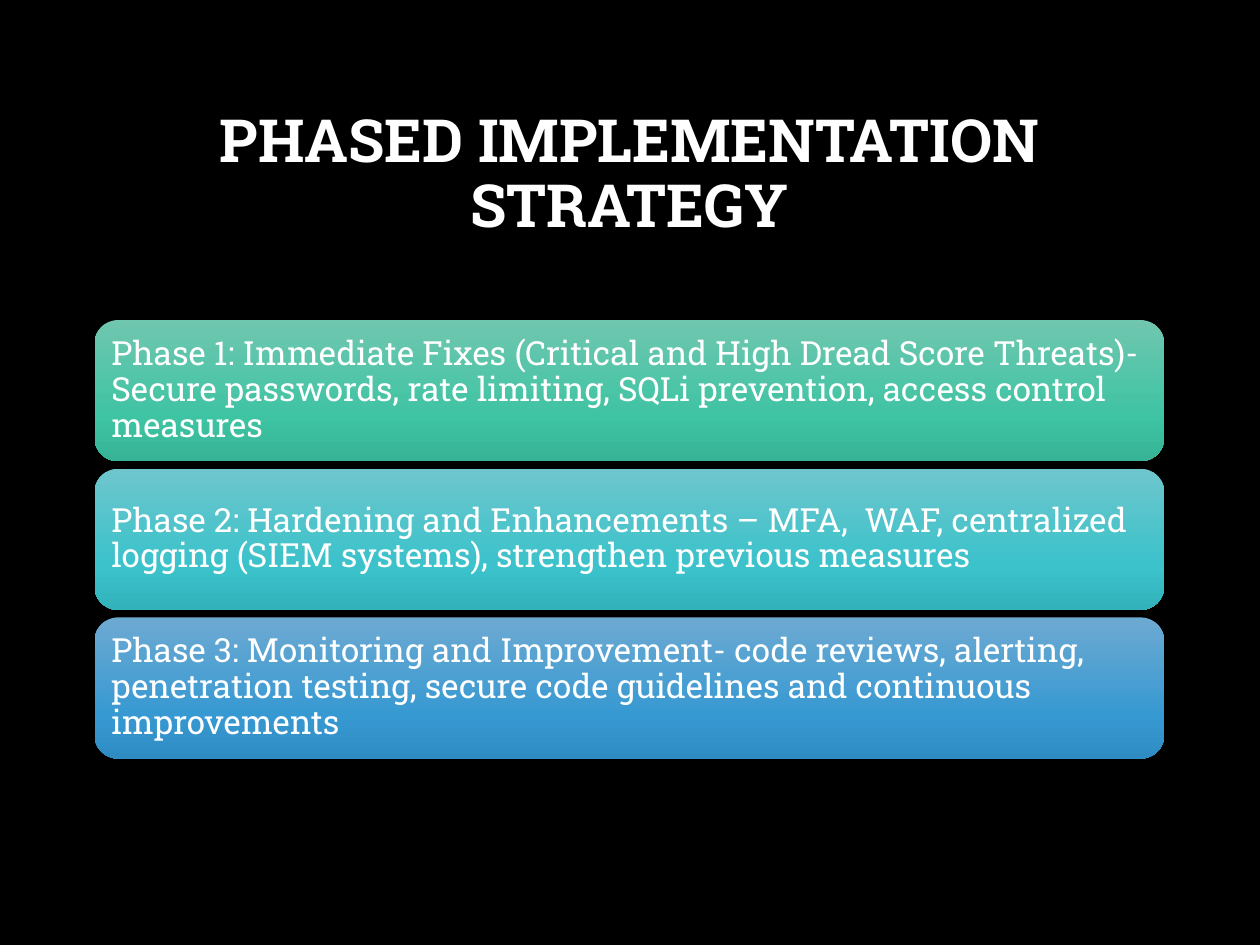
import copy
import pptx
import pptx.util
import pptx.dml.color
import pptx.enum.shapes
import pptx.enum.text
import pptx.oxml.ns

TITLE = "PHASED IMPLEMENTATION STRATEGY"
PHASES = [
    ("Phase 1: Immediate Fixes (Critical and High Dread Score Threats)- "
     "Secure passwords, rate limiting, SQLi prevention, access control measures",
     ("70C6AF", "3EC4A3", "37B395")),
    ("Phase 2: Hardening and Enhancements – MFA,  WAF, centralized "
     "logging (SIEM systems), strengthen previous measures",
     ("6EC6CC", "3BC2CB", "33B2BA")),
    ("Phase 3: Monitoring and Improvement- code reviews, alerting, "
     "penetration testing, secure code guidelines and continuous improvements",
     ("6DAAD2", "3799D2", "2F8CC2")),
]
STOPS = (0, 0.69, 1)
WIDE, HIGH = 10, 7.5
LEFT, SPAN = 0.75, 8.49
TOP, TALL, STEP = 2.54, 1.12, 1.18
INSET = 0.08
ALIGN = pptx.enum.text.PP_ALIGN
INCH = pptx.util.Inches


def paint(color, code):
    """Set a colour from a hex string."""
    color.rgb = pptx.dml.color.RGBColor.from_string(code)


def write(shape, text, size, bold, align):
    """Put one styled paragraph, centred vertically, into a shape."""
    frame = shape.text_frame
    frame.word_wrap = True
    frame.vertical_anchor = pptx.enum.text.MSO_ANCHOR.MIDDLE
    line = frame.paragraphs[0]
    line.alignment, line.line_spacing = align, 0.9
    run = line.add_run()
    run.text = text
    look = {"name": "Roboto Slab", "size": pptx.util.Pt(size), "bold": bold}
    for key, value in look.items():
        setattr(run.font, key, value)
    paint(run.font.color, "FFFFFF")


def blend(shape, codes):
    """Fill a shape from top to bottom with a three-stop gradient."""
    shape.fill.gradient()
    shape.fill.gradient_angle = 270
    stops = shape._element.spPr.find(".//" + pptx.oxml.ns.qn("a:gsLst"))
    stops.append(copy.deepcopy(stops[-1]))
    for stop, place, code in zip(shape.fill.gradient_stops, STOPS, codes):
        stop.position = place
        paint(stop.color, code)


def main():
    """Build the slide and save it."""
    deck = pptx.Presentation()
    deck.slide_width, deck.slide_height = INCH(WIDE), INCH(HIGH)
    slide = deck.slides.add_slide(deck.slide_layouts[6])
    slide.background.fill.solid()
    paint(slide.background.fill.fore_color, "000000")
    title = slide.shapes.add_textbox(
        INCH(LEFT), INCH(0.67), INCH(SPAN), INCH(1.45))
    write(title, TITLE, 34, True, ALIGN.CENTER)
    for row, (text, codes) in enumerate(PHASES):
        card = slide.shapes.add_shape(
            pptx.enum.shapes.MSO_SHAPE.ROUNDED_RECTANGLE,
            INCH(LEFT), INCH(TOP + row * STEP), INCH(SPAN), INCH(TALL))
        card.shadow.inherit = False
        card.line.fill.background()
        blend(card, codes)
        for side in ("left", "top", "right", "bottom"):
            setattr(card.text_frame, "margin_" + side, INCH(INSET))
        write(card, text, 19, False, ALIGN.LEFT)
    deck.save("out.pptx")


if __name__ == "__main__":
    main()
